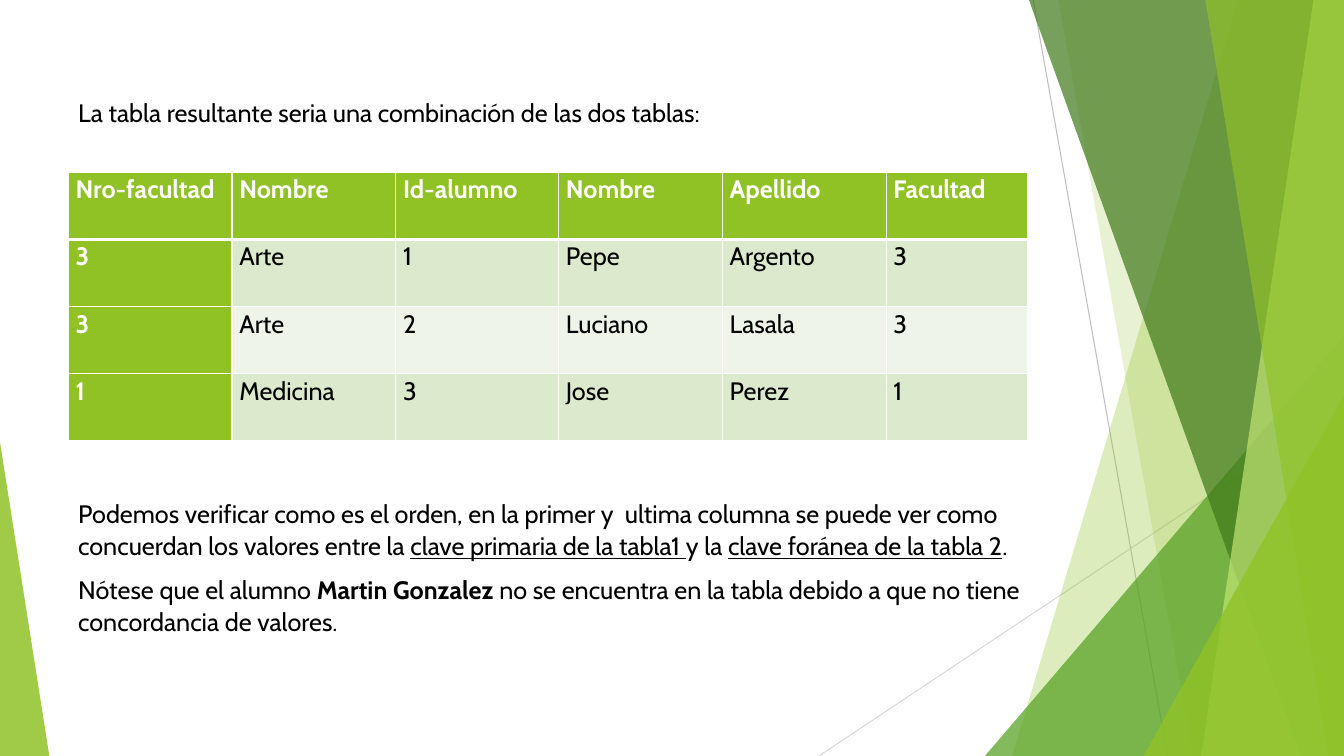
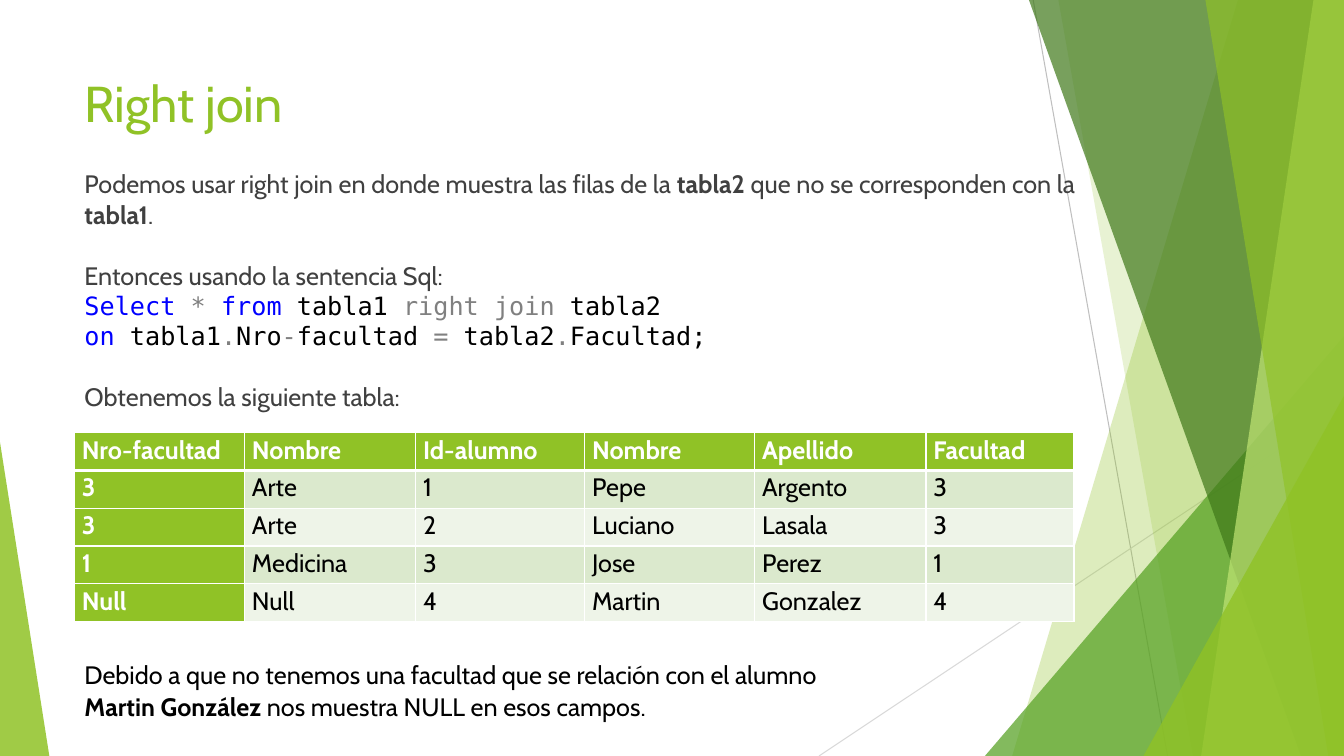
from lxml import etree
from pptx import Presentation
from pptx import util as u
from pptx.dml.color import RGBColor
from pptx.enum import shapes, text
from pptx.oxml.ns import qn

# Shared measures and look
PX = 9525
WIDTH, HEIGHT = 1280, 720
SANS, MONO = "Cabin", "DejaVu Sans Mono"
GREEN, MID_GREEN, DARK_GREEN, LIME = "90C226", "54A021", "3F7819", "C0E474"
BANDS = ("DBE9CD", "EEF4E8")
WHITE, BLACK, CHARCOAL = "FFFFFF", "000000", "404040"
BODY = {"name": SANS, "size": u.Pt(18), "color": BLACK}
GREY_BODY = {**BODY, "color": CHARCOAL}
TITLE = {"name": SANS, "size": u.Pt(36), "color": GREEN}
TABLE_HEAD = {**BODY, "color": WHITE, "bold": True}
BOLD = {"bold": True}
UNDERLINE = {"underline": True}
KEYWORD = {"name": MONO, "color": "0000FF"}
OPERATOR = {"name": MONO, "color": "808080"}
IDENTIFIER = {"name": MONO, "color": BLACK}
PROSE = {"line_spacing": 1.07, "space_after": u.Pt(8)}
CELL = {"line_spacing": 1.07}
AFTER_GAP = {"space_before": u.Pt(22)}

# Rows of the joined table
COLUMNS = ("Nro-facultad", "Nombre", "Id-alumno", "Nombre", "Apellido", "Facultad")
MATCHES = [
    ("3", "Arte", "1", "Pepe", "Argento", "3"),
    ("3", "Arte", "2", "Luciano", "Lasala", "3"),
    ("1", "Medicina", "3", "Jose", "Perez", "1"),
]
UNMATCHED = ("Null", "Null", "4", "Martin", "Gonzalez", "4")


def px(*lengths):
    return [u.Emu(length * PX) for length in lengths]


def rgb(color):
    return RGBColor.from_string(color)


def set_all(target, values):
    for name, value in values.items():
        setattr(target, name, value)


# Text
def write_para(para, spans, base, layout):
    set_all(para, layout)
    for words, style in spans:
        span = para.add_run()
        span.text = words
        look = {**base, **style}
        span.font.color.rgb = rgb(look.pop("color"))
        set_all(span.font, look)


def add_text(page, place, paras, base=BODY):
    frame = page.shapes.add_textbox(*px(*place)).text_frame
    set_all(frame, {"word_wrap": True, "vertical_anchor": text.MSO_ANCHOR.TOP})
    for index, (spans, layout) in enumerate(paras):
        para = frame.add_paragraph() if index else frame.paragraphs[0]
        write_para(para, spans, base, layout)


# Background art
def tint(shape, color, opacity):
    shape.shadow.inherit = False
    shape.line.fill.background()
    shape.fill.solid()
    shape.fill.fore_color.rgb = rgb(color)
    swatch = shape.element.spPr.find(qn("a:solidFill")).find(qn("a:srgbClr"))
    etree.SubElement(swatch, qn("a:alpha"), val=str(opacity * 1000))


def add_panel(page, top_x, bottom_x, color, opacity):
    outline = page.shapes.build_freeform(top_x, 0, scale=PX)
    outline.add_line_segments([(WIDTH, 0), (WIDTH, HEIGHT), (bottom_x, HEIGHT)], close=True)
    tint(outline.convert_to_shape(), color, opacity)


def add_triangle(page, left, top, width, apex, color, opacity):
    triangle = page.shapes.add_shape(
        shapes.MSO_SHAPE.ISOSCELES_TRIANGLE, *px(left, top, width, HEIGHT - top))
    triangle.adjustments[0] = apex
    tint(triangle, color, opacity)


def add_line(page, start, end, color):
    line = page.shapes.add_connector(shapes.MSO_CONNECTOR.STRAIGHT, *px(*start, *end))
    line.line.color.rgb = rgb(color)
    line.line.width = u.Pt(0.75)
    etree.SubElement(line.element.spPr, qn("a:effectLst"))


def add_background(page):
    add_line(page, (984, 0), (1112, HEIGHT), "BFBFBF")
    add_line(page, (WIDTH, 387), (780, HEIGHT), "D9D9D9")
    add_panel(page, 1179, 964, GREEN, 30)
    add_panel(page, 1008, 1136, GREEN, 20)
    add_triangle(page, 938, 320, 342, 1, MID_GREEN, 72)
    add_panel(page, 980, 1239, DARK_GREEN, 70)
    add_panel(page, 1251, 1144, LIME, 70)
    add_panel(page, 1148, 1265, GREEN, 65)
    add_triangle(page, 1089, 377, 191, 1, GREEN, 80)
    add_triangle(page, 0, 421, 47, 0, GREEN, 85)


# Table
def add_border(cell, side, points):
    border = etree.SubElement(
        cell._tc.get_or_add_tcPr(), qn("a:ln" + side), w=str(u.Pt(points)))
    fill = etree.SubElement(border, qn("a:solidFill"))
    etree.SubElement(fill, qn("a:srgbClr"), val=WHITE)


def fill_cell(cell, words, row, column):
    is_head = row == 0 or column == 0
    thick_sides = {0: "B", 1: "T"}
    for side in "LRTB":
        add_border(cell, side, 3 if thick_sides.get(row) == side else 1)
    cell.fill.solid()
    cell.fill.fore_color.rgb = rgb(GREEN if is_head else BANDS[(row - 1) % 2])
    side_inset, = px(7)
    set_all(cell, {"margin_left": side_inset, "margin_right": side_inset,
                   "margin_top": 0, "margin_bottom": 0})
    write_para(cell.text_frame.paragraphs[0], [(words, {})],
               TABLE_HEAD if is_head else BODY, CELL)


def add_join_table(page, left, top, widths, row_height, records):
    rows = [COLUMNS, *records]
    frame = page.shapes.add_table(
        len(rows), len(widths), *px(left, top, sum(widths), row_height * len(rows)))
    table = frame.table
    for column, width in zip(table.columns, px(*widths)):
        column.width = width
    for row, record in enumerate(rows):
        table.rows[row].height, = px(row_height)
        for column, words in enumerate(record):
            fill_cell(table.cell(row, column), words, row, column)


# Slides
def add_page(deck):
    page = deck.slides.add_slide(deck.slide_layouts[6])
    add_background(page)
    return page


def build_result(deck):
    page = add_page(deck)
    add_text(page, (65, 88, 902, 407), [
        ([("La tabla resultante seria una combinación de las dos tablas:", {})], {}),
    ])
    add_join_table(page, 65, 164, (156, 156, 155, 156, 156, 135), 64, MATCHES)
    add_text(page, (65, 468, 965, 174), [
        ([("Podemos verificar como es el orden, en la primer y  ultima columna se puede "
           "ver como concuerdan los valores entre la ", {}),
          ("clave primaria de la tabla1 ", UNDERLINE), ("y la ", {}),
          ("clave foránea de la tabla 2", UNDERLINE), (".", {})], PROSE),
        ([("Nótese que el alumno ", {}), ("Martin Gonzalez ", BOLD),
          ("no se encuentra en la tabla debido a que no tiene concordancia de valores.", {})],
         PROSE),
    ])


def build_right_join(deck):
    page = add_page(deck)
    add_text(page, (71, 64, 902, 138), [([("Right join", {})], {})], TITLE)
    add_text(page, (71, 156, 974, 407), [
        ([("Podemos usar right join en donde muestra las filas de la ", {}),
          ("tabla2", BOLD), (" que no se corresponden con la ", {}),
          ("tabla1", BOLD), (".", {})], {}),
        ([("Entonces usando la sentencia Sql:", {})], AFTER_GAP),
        ([("Select", KEYWORD), (" * ", OPERATOR), ("from", KEYWORD),
          (" tabla1 ", IDENTIFIER), ("right join", OPERATOR), (" tabla2", IDENTIFIER)], {}),
        ([("on", KEYWORD), (" tabla1", IDENTIFIER), (".", OPERATOR), ("Nro", IDENTIFIER),
          ("-", OPERATOR), ("facultad ", IDENTIFIER), ("=", OPERATOR),
          (" tabla2", IDENTIFIER), (".", OPERATOR), ("Facultad;", IDENTIFIER)], {}),
        ([("Obtenemos la siguiente tabla:", {})], AFTER_GAP),
    ], GREY_BODY)
    add_join_table(page, 71, 412, (162, 163, 161, 162, 163, 141), 36, [*MATCHES, UNMATCHED])
    add_text(page, (71, 621, 760, 70), [
        ([("Debido a que no tenemos una facultad que se relación con el alumno ", {}),
          ("Martin González ", BOLD), ("nos muestra NULL en esos campos.", {})], PROSE),
    ])


def main():
    deck = Presentation()
    deck.slide_width, deck.slide_height = px(WIDTH, HEIGHT)
    build_result(deck)
    build_right_join(deck)
    deck.save("out.pptx")


if __name__ == "__main__":
    main()
